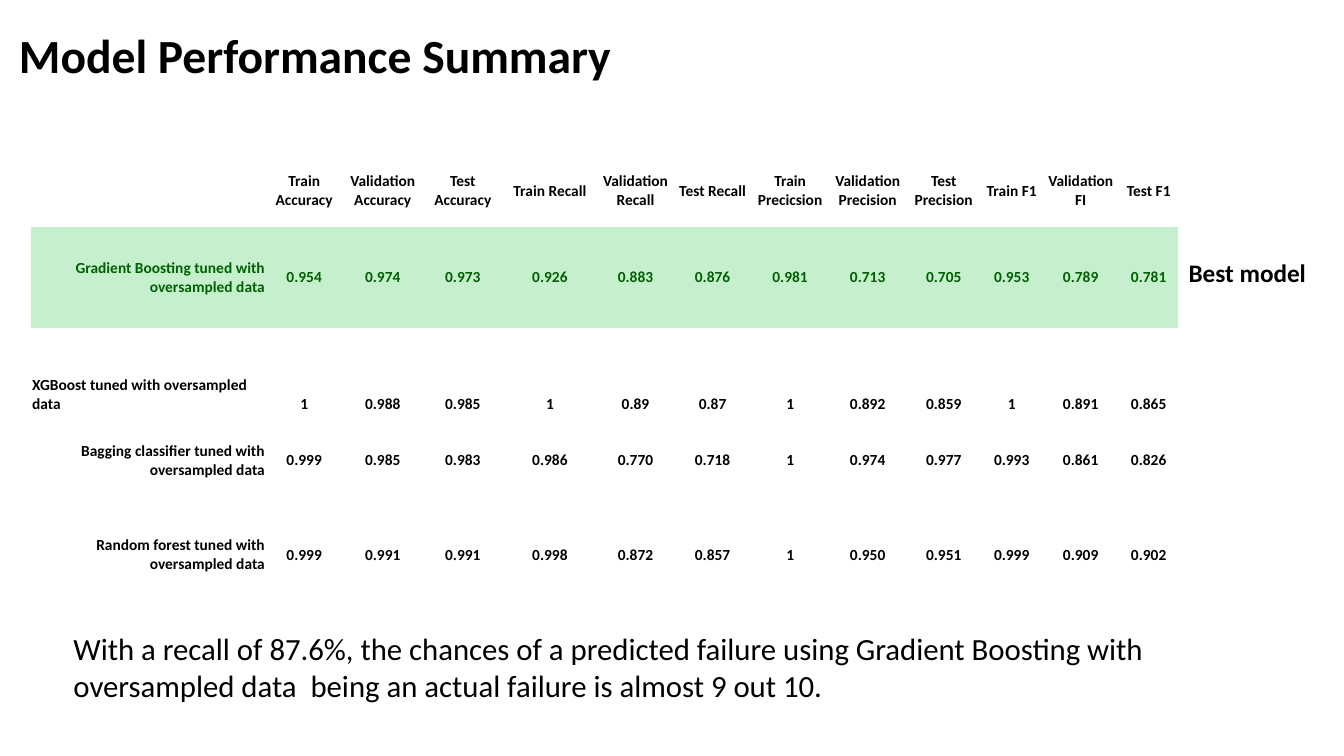
"""Build the model performance summary slide."""
from pptx import Presentation
from pptx.dml.color import RGBColor
from pptx.enum.text import MSO_ANCHOR, PP_ALIGN
from pptx.util import Inches, Pt

LEFT, CENTER, RIGHT = PP_ALIGN.LEFT, PP_ALIGN.CENTER, PP_ALIGN.RIGHT
TOP, MIDDLE, BOTTOM = MSO_ANCHOR.TOP, MSO_ANCHOR.MIDDLE, MSO_ANCHOR.BOTTOM
COLORS = {"text": "000000", "paper": "FFFFFF", "best": "006100", "best_fill": "C6EFCE"}
FONT = "Calibri"
PLAIN_STYLE = "{2D5ABB26-0587-4C30-8999-92F81FD0307C}"
WIDTH, HEIGHT = 13.33, 7.5

COLUMNS = [2.33, 0.76, 0.8, 0.79, 0.94, 0.76, 0.77, 0.77, 0.77, 0.74, 0.61, 0.76, 0.59]
ROWS = [0.72, 1, 0.85, 0.93, 0.94]
HEADINGS = ["", "Train Accuracy", "Validation Accuracy", "Test Accuracy",
            "Train Recall", "Validation Recall", "Test Recall",
            "Train Precicsion", "Validation Precision", "Test Precision",
            "Train F1", "Validation FI", "Test F1"]
MODELS = [
    ("Gradient Boosting", "0.954 0.974 0.973 0.926 0.883 0.876 0.981 0.713 0.705 0.953 0.789 0.781"),
    ("XGBoost", "1 0.988 0.985 1 0.89 0.87 1 0.892 0.859 1 0.891 0.865"),
    ("Bagging classifier", "0.999 0.985 0.983 0.986 0.770 0.718 1 0.974 0.977 0.993 0.861 0.826"),
    ("Random forest", "0.999 0.991 0.991 0.998 0.872 0.857 1 0.950 0.951 0.999 0.909 0.902"),
]
BEST_ROW, LOW_ROW = 1, 2


def color(name):
    """Return the named colour."""
    return RGBColor.from_string(COLORS[name])


def add_span(para, text, size, bold, ink="text"):
    """Add one formatted run to a paragraph."""
    span = para.add_run()
    span.text = text
    span.font.name = FONT
    span.font.size = Pt(size)
    span.font.bold = bold
    span.font.color.rgb = color(ink)


def add_note(page, area, text, size, bold=True, anchor=TOP, wrap=True, spacing=1.0):
    """Place a text box in the given area of the page."""
    box = page.shapes.add_textbox(*map(Inches, area))
    frame = box.text_frame
    frame.word_wrap = wrap
    frame.vertical_anchor = anchor
    para = frame.paragraphs[0]
    para.line_spacing = spacing
    add_span(para, text, size, bold)


def fill_cell(cell, text, align, anchor, ink, fill):
    """Write and colour one table cell."""
    cell.fill.solid()
    cell.fill.fore_color.rgb = color(fill)
    cell.vertical_anchor = anchor
    cell.margin_left = cell.margin_right = cell.margin_top = Inches(0.01)
    cell.margin_bottom = 0
    para = cell.text_frame.paragraphs[0]
    para.alignment = align
    if text:
        add_span(para, text, 11, True, ink)


def add_scores(page, area):
    """Place the score table, scaling its grid to the given area."""
    left, top, width, height = area
    frame = page.shapes.add_table(len(ROWS), len(COLUMNS), *map(Inches, area))
    table = frame.table
    table.first_row = table.horz_banding = False
    table._tbl.tblPr[0].text = PLAIN_STYLE
    for column, share in zip(table.columns, COLUMNS):
        column.width = Inches(width * share / sum(COLUMNS))
    for row, share in zip(table.rows, ROWS):
        row.height = Inches(height * share / sum(ROWS))
    lines = [HEADINGS] + [[f"{model} tuned with oversampled data", *scores.split()]
                          for model, scores in MODELS]
    for r, line in enumerate(lines):
        ink, fill = ("best", "best_fill") if r == BEST_ROW else ("text", "paper")
        anchor, label_align = (BOTTOM, LEFT) if r == LOW_ROW else (MIDDLE, RIGHT)
        for c, text in enumerate(line):
            align = CENTER if c else label_align
            fill_cell(table.cell(r, c), text, align, anchor, ink, fill)


def build_summary(page, width, height):
    """Lay out the title, table, label and conclusion on the page."""
    margin = 0.31
    table_width = width - margin - 1.64
    add_note(page, (0.09, 0.2, width - 1.83, 0.76), "Model Performance Summary", 34,
             anchor=MIDDLE, spacing=0.9)
    add_scores(page, (margin, 1.53, table_width, sum(ROWS)))
    add_note(page, (margin + table_width, height / 3, 1.38, 0.4), "Best model", 18, wrap=False)
    add_note(page, (0.63, height - 1.3, width - 1.64, 1.25),
             "With a recall of 87.6%, the chances of a predicted failure using Gradient Boosting "
             "with oversampled data  being an actual failure is almost 9 out 10.", 22, bold=False)


def main():
    """Create and save the deck."""
    deck = Presentation()
    deck.slide_width, deck.slide_height = Inches(WIDTH), Inches(HEIGHT)
    page = deck.slides.add_slide(deck.slide_layouts[6])
    build_summary(page, WIDTH, HEIGHT)
    deck.save("out.pptx")


main()
